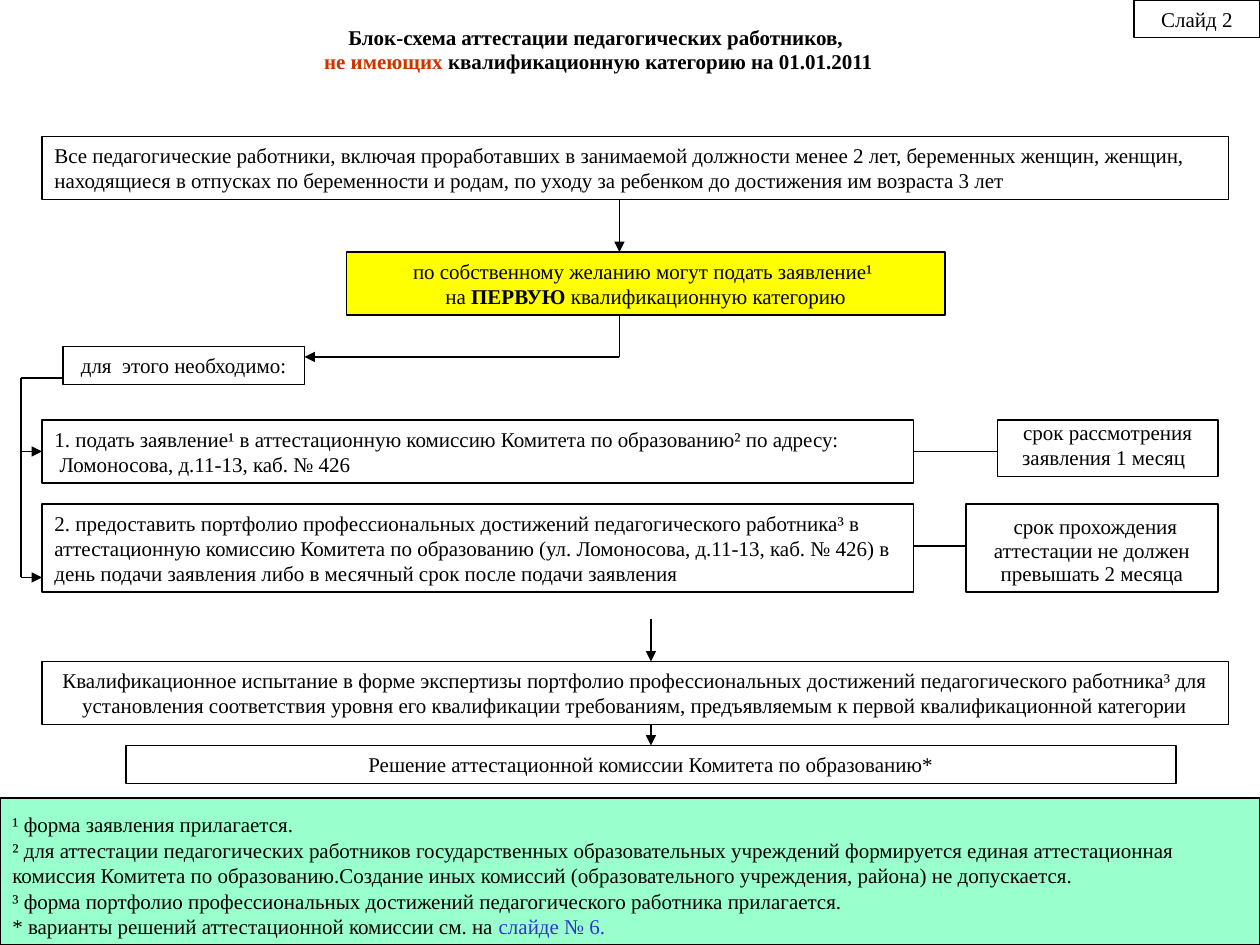
"""Build the flowchart slide on certification of teachers without a category."""
import dataclasses

import lxml.etree
import pptx
import pptx.dml.color
import pptx.enum.shapes
import pptx.enum.text
import pptx.oxml.ns
import pptx.util


@dataclasses.dataclass(frozen=True)
class Theme:
    font: str = "Times New Roman"
    black: str = "000000"
    white: str = "FFFFFF"
    yellow: str = "FFFF00"
    mint: str = "99FFCC"
    red: str = "CC3300"
    blue: str = "3333CC"
    body: int = 12
    wide: int = 16
    widest: int = 18
    stroke: float = 0.75


theme = Theme()
SCALE = pptx.util.Inches(1) // 120
LEFT = pptx.enum.text.PP_ALIGN.LEFT
CENTER = pptx.enum.text.PP_ALIGN.CENTER
rgb = pptx.dml.color.RGBColor.from_string


def write(box, paragraphs, align, spacing=None, before=0):
    frame = box.text_frame
    frame.word_wrap = True
    frame.auto_size = pptx.enum.text.MSO_AUTO_SIZE.SHAPE_TO_FIT_TEXT
    frame.vertical_anchor = pptx.enum.text.MSO_ANCHOR.TOP
    for index, spans in enumerate(paragraphs):
        para = frame.add_paragraph() if index else frame.paragraphs[0]
        para.alignment = align
        para.space_before = pptx.util.Pt(before if index else 0)
        if spacing:
            para.line_spacing = spacing
        for text, style in spans:
            span = para.add_run()
            span.text = text
            span.font.name = theme.font
            span.font.size = pptx.util.Pt(style.get("size", theme.body))
            span.font.bold = style.get("bold", False)
            span.font.color.rgb = rgb(style.get("color", theme.black))


deck = pptx.Presentation()
deck.slide_width, deck.slide_height = 1200 * SCALE, 900 * SCALE
page = deck.slides.add_slide(deck.slide_layouts[5])

title = page.shapes.title
title.left, title.top, title.width, title.height = (
    value * SCALE for value in (270, 30, 600, 44))
write(title, [
    [("Блок-схема аттестации педагогических работников, ", {"bold": True})],
    [("не имеющих", {"bold": True, "color": theme.red}),
     (" квалификационную категорию на 01.01.2011", {"bold": True})],
], CENTER, 0.4, 7.5)

boxes = [
    ((40, 130, 1130, 60), None, LEFT, None, [
        [("Все педагогические работники, включая проработавших в занимаемой "
          "должности менее 2 лет, беременных женщин, женщин, находящиеся в "
          "отпусках по беременности и родам, по уходу за ребенком до "
          "достижения им возраста 3 лет", {})]]),
    ((330, 240, 570, 60), theme.yellow, CENTER, None, [
        [("по собственному желанию могут подать заявление¹ ", {})],
        [("на ", {}), ("ПЕРВУЮ", {"bold": True}),
         (" квалификационную категорию", {})]]),
    ((0, 760, 1200, 140), theme.mint, LEFT, None, [
        [("¹ форма заявления прилагается.", {}), (" ", {"size": theme.wide})],
        [("² для аттестации педагогических работников государственных "
          "образовательных учреждений формируется единая аттестационная "
          "комиссия Комитета по образованию.Создание иных комиссий "
          "(образовательного учреждения, района) не допускается.", {})],
        [("³ форма портфолио профессиональных достижений педагогического "
          "работника прилагается.", {})],
        [("* варианты решений аттестационной комиссии см. на ", {}),
         ("слайде № 6.", {"color": theme.blue})]]),
    ((60, 330, 230, 36), None, CENTER, None, [
        [("для  этого необходимо:", {})]]),
    ((40, 400, 830, 60), None, LEFT, None, [
        [("1. подать заявление¹ в аттестационную комиссию Комитета по "
          "образованию² по адресу:", {})],
        [(" Ломоносова, д.11-13, каб. № 426", {})]]),
    ((950, 400, 210, 54), None, CENTER, 0.7, [
        [("срок рассмотрения заявления 1 месяц", {}),
         (" ", {"size": theme.widest})]]),
    ((40, 480, 830, 84), None, LEFT, None, [
        [("2. предоставить портфолио профессиональных достижений "
          "педагогического работника³ в аттестационную комиссию Комитета по "
          "образованию (ул. Ломоносова, д.11-13, каб. № 426) в день подачи "
          "заявления либо в месячный срок после подачи заявления", {})]]),
    ((920, 480, 240, 84), None, CENTER, 0.9, [
        [(" ", {"size": theme.wide}),
         ("срок прохождения аттестации не должен превышать 2 месяца", {})]]),
    ((40, 630, 1130, 60), None, CENTER, None, [
        [("Квалификационное испытание в форме экспертизы портфолио "
          "профессиональных достижений педагогического работника³ для "
          "установления соответствия уровня его квалификации требованиям, "
          "предъявляемым к первой квалификационной категории", {})]]),
    ((120, 710, 1000, 36), None, CENTER, None, [
        [("Решение аттестационной комиссии Комитета по образованию*", {})]]),
    ((1080, 0, 120, 36), theme.white, CENTER, None, [[("Слайд 2", {})]]),
]
for place, fill, align, spacing, paragraphs in boxes:
    box = page.shapes.add_shape(
        pptx.enum.shapes.MSO_SHAPE.RECTANGLE, *(value * SCALE for value in place))
    box.shadow.inherit = False
    if fill:
        box.fill.solid()
        box.fill.fore_color.rgb = rgb(fill)
    else:
        box.fill.background()
    box.line.color.rgb = rgb(theme.black)
    box.line.width = pptx.util.Pt(theme.stroke)
    write(box, paragraphs, align, spacing)

links = [
    ((60, 360, 20, 360), False),
    ((20, 360, 20, 550), False),
    ((20, 430, 40, 430), True),
    ((20, 550, 40, 550), True),
    ((870, 430, 950, 430), False),
    ((870, 520, 920, 520), False),
    ((620, 590, 620, 630), True),
    ((620, 690, 620, 710), True),
    ((590, 190, 590, 240), True),
    ((590, 300, 590, 340), False),
    ((590, 340, 290, 340), True),
]
for ends, arrow in links:
    link = page.shapes.add_connector(
        pptx.enum.shapes.MSO_CONNECTOR.STRAIGHT, *(value * SCALE for value in ends))
    link.line.color.rgb = rgb(theme.black)
    link.line.width = pptx.util.Pt(theme.stroke)
    if arrow:
        lxml.etree.SubElement(
            link.line._get_or_add_ln(), pptx.oxml.ns.qn("a:tailEnd"), type="triangle")
    lxml.etree.SubElement(link._element.spPr, pptx.oxml.ns.qn("a:effectLst"))

deck.save("out.pptx")
